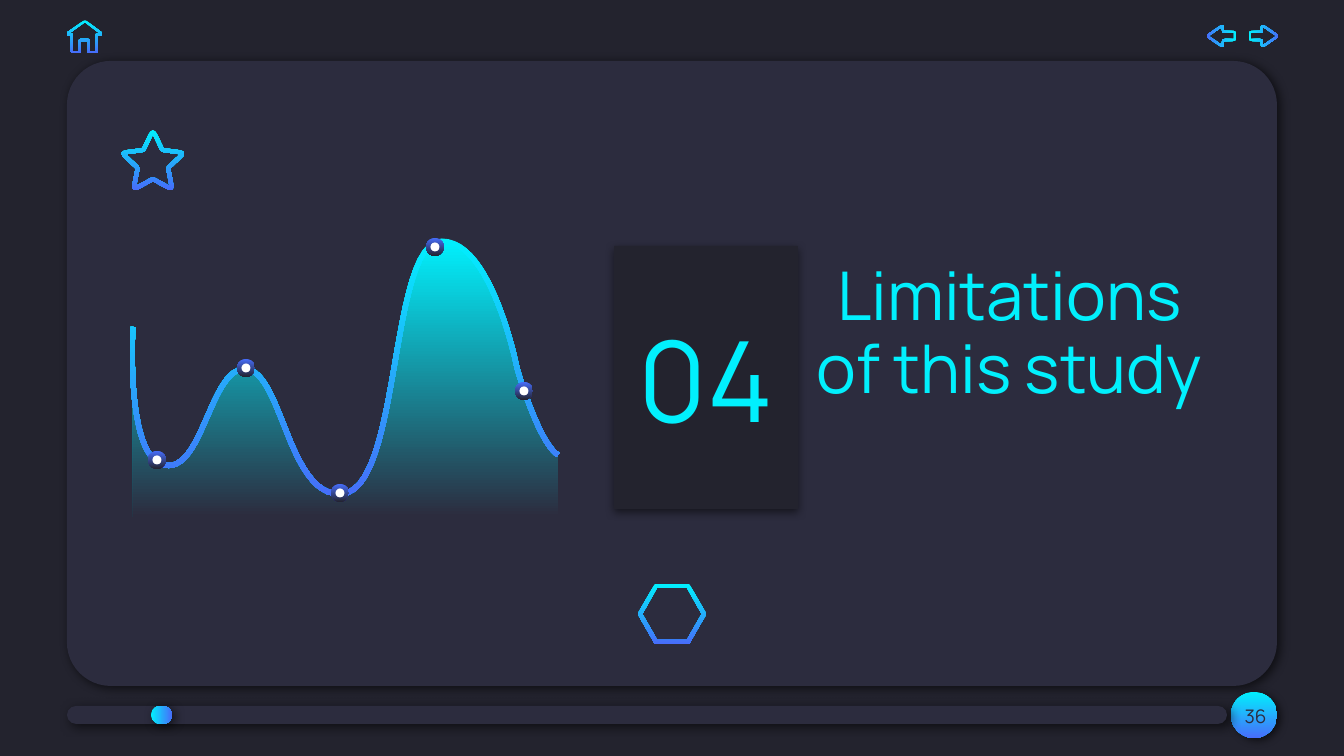
from math import cos, hypot, pi, sin

from lxml import etree
from pptx import Presentation
from pptx.dml.color import RGBColor
from pptx.enum.shapes import MSO_SHAPE
from pptx.enum.text import MSO_ANCHOR, PP_ALIGN
from pptx.oxml.ns import qn
from pptx.util import Emu, Pt

RECT, ROUND, OVAL = MSO_SHAPE.RECTANGLE, MSO_SHAPE.ROUNDED_RECTANGLE, MSO_SHAPE.OVAL
MIDDLE, CENTER = MSO_ANCHOR.MIDDLE, PP_ALIGN.CENTER
EMU_PER_PX = 914400 / 134.4
FONT = "Manrope"
DARK, PANEL, CYAN, BLUE, WHITE = "23232E", "2C2C3E", "01F0FD", "476DFA", "FFFFFF"
NEON = (CYAN, BLUE)
SOFT = (60, 5.6, 2.2, 33)

CURVE = [(9, 89), (9, 89), (1, 219), (40, 227), (79, 236), (86, 128), (122, 131),
         (158, 134), (164, 257), (216, 256), (278, 257), (264, 3), (318, 3),
         (368, 3), (393, 130), (393, 130), (393, 130), (414, 204), (434, 217)]
MARKERS = [(33, 222), (122, 130), (216, 255), (311, 9), (400, 153)]
BASELINE = 279
HOUSE = [(18, 1, 2), (34, 13, 1), (34, 15, 1), (30, 15, 0), (30, 32, 1), (22, 32, 0),
         (22, 20, 1), (13, 20, 1), (13, 32, 0), (5, 32, 1), (5, 15, 0), (1, 15, 1),
         (1, 13, 1)]
ARROW = [(1, 7, 2), (13, 7, 3), (13, 0, 3), (29, 11, 3), (13, 22, 3), (13, 15, 3), (1, 15, 2)]
HEXAGON = [(3, 30, 0), (19, 2, 0), (51, 2, 0), (67, 30, 0), (51, 58, 0), (19, 58, 0)]


def emu(px):
    """Turn px into EMU."""
    return Emu(round(px * EMU_PER_PX))


def rgb(value):
    """Turn a hex string into a colour."""
    return RGBColor.from_string(value)


def paint(shape, fill, angle=90, shadow=None):
    """Fill a shape with one colour or a two-colour gradient, without a line."""
    shape.line.fill.background()
    shape.shadow.inherit = False
    if isinstance(fill, str):
        shape.fill.solid()
        shape.fill.fore_color.rgb = rgb(fill)
    else:
        shape.fill.gradient()
        shape.fill.gradient_angle = 360 - angle
        for stop, value in zip(shape.fill.gradient_stops, fill):
            stop.color.rgb = rgb(value)
    if shadow:
        add_shadow(shape, *shadow)


def add_shadow(shape, alpha, blur, distance, direction):
    """Give a shape an outer black shadow."""
    effects = shape.element.spPr.find(qn("a:effectLst"))
    outer = etree.SubElement(effects, qn("a:outerShdw"), blurRad=str(Pt(blur)),
                             dist=str(Pt(distance)), dir=str(direction * 60000),
                             algn="bl", rotWithShape="0")
    color = etree.SubElement(outer, qn("a:srgbClr"), val="000000")
    etree.SubElement(color, qn("a:alpha"), val=str(alpha * 1000))


def add_block(page, kind, box, fill, radius=None, **style):
    """Add a preset shape."""
    shape = page.shapes.add_shape(kind, *map(emu, box))
    if radius is not None:
        shape.adjustments[0] = radius
    paint(shape, fill, **style)
    return shape


def write(shape, text, size, color, spacing=1.0):
    """Write centred text into a shape."""
    frame = shape.text_frame
    frame.word_wrap = True
    frame.vertical_anchor = MIDDLE
    frame.margin_left = frame.margin_right = frame.margin_top = frame.margin_bottom = Pt(7.2)
    para = frame.paragraphs[0]
    para.alignment = CENTER
    para.line_spacing = spacing
    span = para.add_run()
    span.text = text
    span.font.name = FONT
    span.font.size = Pt(size)
    span.font.color.rgb = rgb(color)


def add_text(page, box, text, **style):
    """Add a text box."""
    write(page.shapes.add_textbox(*map(emu, box)), text, **style)


def add_outline(page, origin, contours, fill, **style):
    """Add one filled freeform made of closed contours."""
    left, top = origin
    builder = None
    for contour in contours:
        points = [(emu(left + x), emu(top + y)) for x, y in contour]
        if builder is None:
            builder = page.shapes.build_freeform(*points[0], scale=1.0)
        else:
            builder.move_to(*points[0])
        builder.add_line_segments(points[1:], close=True)
    paint(builder.convert_to_shape(), fill, **style)


def bezier(controls, steps=24):
    """Sample a chain of cubic curves."""
    points = [controls[0]]
    for first in range(0, len(controls) - 1, 3):
        for step in range(1, steps + 1):
            t = step / steps
            weights = ((1 - t) ** 3, 3 * t * (1 - t) ** 2, 3 * t * t * (1 - t), t ** 3)
            pairs = list(zip(weights, controls[first:first + 4]))
            points.append((sum(w * p[0] for w, p in pairs), sum(w * p[1] for w, p in pairs)))
    return points


def rounded(corners):
    """Round the corners of a polygon, each by its own cut."""
    points = []
    for index, (x, y, cut) in enumerate(corners):
        if not cut:
            points.append((x, y))
            continue
        ends = []
        for near in (corners[index - 1], corners[(index + 1) % len(corners)]):
            share = min(cut / hypot(near[0] - x, near[1] - y), 0.45)
            ends.append((x + (near[0] - x) * share, y + (near[1] - y) * share))
        points += bezier([ends[0], (x, y), (x, y), ends[1]], 6)
    return points


def offset(points, distance, closed):
    """Move a line sideways with mitred joins."""
    last, moved = len(points) - 1, []
    for index, (x, y) in enumerate(points):
        before = points[index - 1] if index or closed else None
        after = points[(index + 1) % len(points)] if index < last or closed else None
        sides = [(a, b) for a, b in ((before, (x, y)), ((x, y), after)) if a and b]
        normals = []
        for a, b in sides:
            length = hypot(b[0] - a[0], b[1] - a[1])
            normals.append(((a[1] - b[1]) / length, (b[0] - a[0]) / length))
        one, two = normals[0], normals[-1]
        scale = distance / (1 + one[0] * two[0] + one[1] * two[1])
        moved.append((x + (one[0] + two[0]) * scale, y + (one[1] + two[1]) * scale))
    return moved


def add_icon(page, origin, corners, width, angle=90):
    """Draw a closed gradient outline."""
    line = rounded(corners)
    rings = [offset(line, side * width / 2, True) for side in (-1, 1)]
    add_outline(page, origin, rings, NEON, angle=angle)


def star(radius, inner):
    """Return the corners of a soft five-pointed star around zero."""
    return [(r * sin(k * pi / 5), -r * cos(k * pi / 5), cut)
            for k in range(10)
            for r, cut in [((radius, 10), (inner, 4))[k % 2]]]


def add_wave(page, origin):
    """Draw the wave with its shaded area, line and markers."""
    line = bezier(CURVE)
    area = line + [(line[-1][0], BASELINE), (line[0][0], BASELINE)]
    add_outline(page, origin, [area], (CYAN, PANEL))
    band = offset(line, 2.5, False) + offset(line, -2.5, False)[::-1]
    add_outline(page, origin, [band], NEON)
    for x, y in MARKERS:
        for size, fill in ((18, (BLUE, DARK)), (9, WHITE)):
            box = (origin[0] + x - size / 2, origin[1] + y - size / 2, size, size)
            add_block(page, OVAL, box, fill)


def add_heading(page, box):
    """Place the number card and the section title beside it."""
    left, top, width, height = box
    card = add_block(page, RECT, (left, top, 184, height), DARK, shadow=(50, 4.5, 1.5, 90))
    write(card, "04", size=60, color=CYAN)
    add_text(page, (left + 184, top, width - 184, 179), "Limitations of this study",
             size=36, color=CYAN, spacing=0.9)


def add_navigation(page, box):
    """Place the home icon and the two arrows."""
    left, top, width, _ = box
    add_icon(page, (left, top), HOUSE, 2)
    add_icon(page, (left + width - 28, top + 5), ARROW, 2, angle=0)
    mirrored = [(28 - x, y, cut) for x, y, cut in ARROW]
    add_icon(page, (left + width - 69, top + 5), mirrored, 2, angle=180)


def add_progress(page, box):
    """Place the progress track, its knob and the page number."""
    left, top, width, height = box
    bar = top + 14
    add_block(page, OVAL, (left + width - 46, top, height, height), NEON, shadow=(60, 4.5, 2.2, 33))
    add_text(page, (left + width - 62, top - 5, 81, 58), "36", size=10, color=PANEL)
    add_block(page, ROUND, (left, bar, width - 50, 18), PANEL, radius=0.5, shadow=SOFT)
    add_block(page, ROUND, (left + 84, bar, 21, 18), NEON, radius=0.5, angle=0, shadow=SOFT)


def main():
    """Build the deck."""
    deck = Presentation()
    deck.slide_width, deck.slide_height = emu(1344), emu(756)
    page = deck.slides.add_slide(deck.slide_layouts[6])
    page.background.fill.solid()
    page.background.fill.fore_color.rgb = rgb(DARK)
    add_block(page, ROUND, (67, 61, 1210, 625), PANEL, radius=0.07, shadow=SOFT)
    add_progress(page, (67, 692, 1210, 46))
    add_heading(page, (614, 246, 607, 263))
    add_icon(page, (153, 163), star(33, 16), 4)
    add_wave(page, (124, 238))
    add_navigation(page, (67, 20, 1210, 34))
    add_icon(page, (637, 584), HEXAGON, 4)
    deck.save("out.pptx")


if __name__ == "__main__":
    main()
